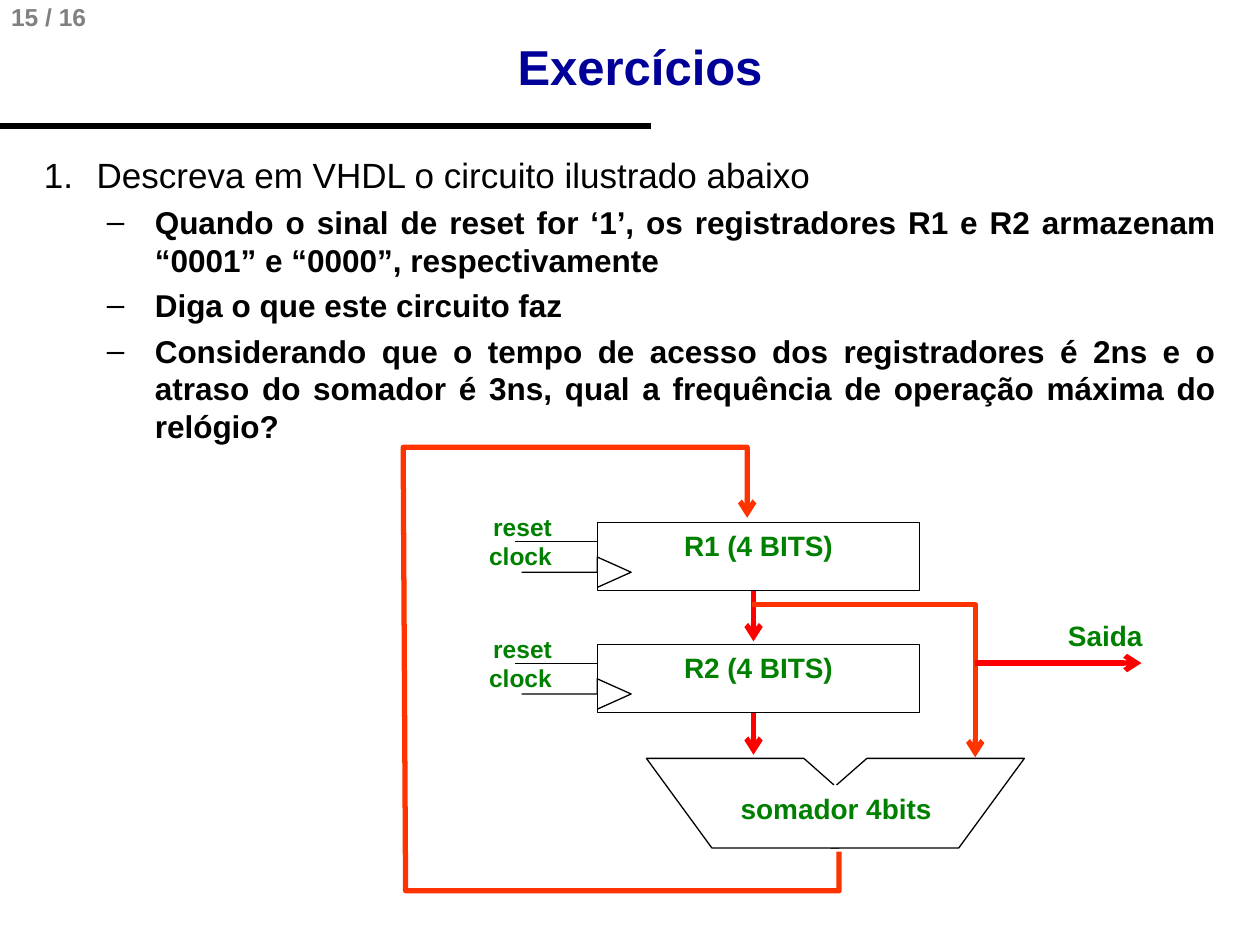
"""Build the exercise slide: a VHDL question above a two-register adder circuit."""
from lxml import etree
from pptx import Presentation
from pptx import util as u
from pptx.dml.color import RGBColor
from pptx.enum import shapes, text
from pptx.oxml import ns

BLACK = RGBColor(0x00, 0x00, 0x00)
WHITE = RGBColor(0xFF, 0xFF, 0xFF)
GRAY = RGBColor(0x80, 0x80, 0x80)
NAVY = RGBColor(0x00, 0x00, 0x99)
GREEN = RGBColor(0x00, 0x80, 0x00)
RED = RGBColor(0xFF, 0x00, 0x00)
ORANGE = RGBColor(0xFF, 0x33, 0x00)
Align = text.PP_ALIGN
Anchor = text.MSO_ANCHOR

deck = Presentation()
deck.slide_width, deck.slide_height = u.Pt(720), u.Pt(540)
page = deck.slides.add_slide(deck.slide_layouts[5])


def write(box, lines, size, color, align, inset=(0, 0), anchor=Anchor.TOP, bold=True, wrap=True):
    frame = box.text_frame
    side, edge = map(u.Pt, inset)
    frame_format = {"margin_left": side, "margin_right": side, "margin_top": edge,
                    "margin_bottom": edge, "vertical_anchor": anchor, "word_wrap": wrap}
    for name, value in frame_format.items():
        setattr(frame, name, value)
    frame.text = "\n".join(lines)
    for para in frame.paragraphs:
        para.alignment = align
        for span in para.runs:
            font_format = {"name": "Arial", "size": u.Pt(size), "bold": bold}
            for name, value in font_format.items():
                setattr(span.font, name, value)
            span.font.color.rgb = color
    return frame


def draw(points, color=BLACK, width=0.75, arrow=False, fill=None):
    corners = [(u.Pt(x), u.Pt(y)) for x, y in points]
    if len(corners) == 2:
        wire = page.shapes.add_connector(shapes.MSO_CONNECTOR.STRAIGHT, *corners[0], *corners[1])
    else:
        builder = page.shapes.build_freeform(*corners[0])
        builder.add_line_segments(corners[1:], close=False)
        wire = builder.convert_to_shape()
        if fill is None:
            wire.fill.background()
        else:
            wire.fill.solid()
            wire.fill.fore_color.rgb = fill
    wire.line.color.rgb = color
    wire.line.width = u.Pt(width)
    if arrow:
        etree.SubElement(wire.line._get_or_add_ln(), ns.qn("a:tailEnd"), type="arrow")
    etree.SubElement(wire._element.spPr, ns.qn("a:effectLst"))


counter = page.shapes.add_textbox(u.Pt(-0.7), u.Pt(-2.2), u.Pt(64.8), u.Pt(24.5))
write(counter, ["15 / 16"], 14, GRAY, Align.LEFT, (7.2, 3.6), wrap=False)
draw([(372, 72), (0, 72)], width=3)

title = page.shapes.title
title_format = {"left": 43.2, "top": 23.8, "width": 645.1, "height": 27.4}
for side, length in title_format.items():
    setattr(title, side, u.Pt(length))
write(title, ["Exercícios"], 28, NAVY, Align.CENTER, (7.2, 3.6), Anchor.MIDDLE)

question = [
    "Descreva em VHDL o circuito ilustrado abaixo",
    "Quando o sinal de reset for ‘1’, os registradores R1 e R2 armazenam “0001” e “0000”, respectivamente",
    "Diga o que este circuito faz",
    "Considerando que o tempo de acesso dos registradores é 2ns e o atraso do somador é 3ns, "
    "qual a frequência de operação máxima do relógio?",
]
body = page.shapes.add_textbox(u.Pt(18), u.Pt(84.2), u.Pt(684), u.Pt(441.4))
frame = write(body, question, 18, BLACK, Align.JUSTIFY, (7.2, 3.6))
for index, para in enumerate(frame.paragraphs):
    para.space_before = u.Pt(4.3)
    margin, hanging = (63.4, 27.4) if index else (30.2, 30.2)
    properties = para._p.get_or_add_pPr()
    properties.set("marL", str(u.Pt(margin)))
    properties.set("indent", str(-u.Pt(hanging)))
    if index:
        para.level = 1
        etree.SubElement(properties, ns.qn("a:buFont"), typeface="Arial")
        etree.SubElement(properties, ns.qn("a:buChar"), char="–")
    else:
        para.runs[0].font.size = u.Pt(20)
        para.runs[0].font.bold = False
        etree.SubElement(properties, ns.qn("a:buFont"), typeface="+mj-lt")
        etree.SubElement(properties, ns.qn("a:buAutoNum"), type="arabicPeriod")

registers = [("R2 (4 BITS)", 368.2, 431.3), ("R1 (4 BITS)", 298.6, 366.5)]
for name, top, arrow_tip in registers:
    draw([(430.6, top + 5), (430.6, arrow_tip)], RED, 3, arrow=True)
    register = page.shapes.add_shape(
        shapes.MSO_SHAPE.RECTANGLE, u.Pt(341.3), u.Pt(top), u.Pt(184.3), u.Pt(38.9))
    register.shadow.inherit = False
    register.fill.solid()
    register.fill.fore_color.rgb = WHITE
    register.line.color.rgb = BLACK
    register.line.width = u.Pt(0.75)
    write(register, [name], 16, GREEN, Align.CENTER, (0, 3.6))
    inputs = page.shapes.add_textbox(u.Pt(218.9), u.Pt(top - 6), u.Pt(96.5), u.Pt(40.3))
    write(inputs, ["reset\vclock"], 14, GREEN, Align.RIGHT)
    clock = top + 28.4
    draw([(341.3, clock + 8.7), (360.7, clock), (341.3, clock - 8.7), (341.3, clock), (298.1, clock)])
    draw([(341.3, top + 10.8), (294.5, top + 10.8)])

draw([(479.5, 486.7), (479.5, 509), (231.8, 509), (230.4, 255.6), (427, 255.6), (427, 295.9)],
     ORANGE, 3, arrow=True)

draw([(476.6, 448.6), (459.4, 433.4), (369.4, 433.4), (406.8, 484.6), (479.5, 484.6)], fill=WHITE)
draw([(478.1, 448.6), (495.4, 433.4), (585.4, 433.4), (547.9, 484.6), (474.5, 484.6)], fill=WHITE)
adder = page.shapes.add_shape(
    shapes.MSO_SHAPE.RECTANGLE, u.Pt(401.8), u.Pt(452.2), u.Pt(151.9), u.Pt(22.3))
adder.shadow.inherit = False
adder.fill.solid()
adder.fill.fore_color.rgb = WHITE
adder.line.fill.background()
write(adder, ["somador 4bits"], 16, GREEN, Align.CENTER)

draw([(429.8, 345.6), (557.3, 345.6), (557.3, 432.7)], ORANGE, 3, arrow=True)
draw([(557.3, 378.9), (652.3, 378.9)], RED, 3, arrow=True)
output = page.shapes.add_textbox(u.Pt(592.6), u.Pt(353.5), u.Pt(77.8), u.Pt(17.3))
write(output, ["Saida"], 16, GREEN, Align.CENTER)

deck.save("out.pptx")
